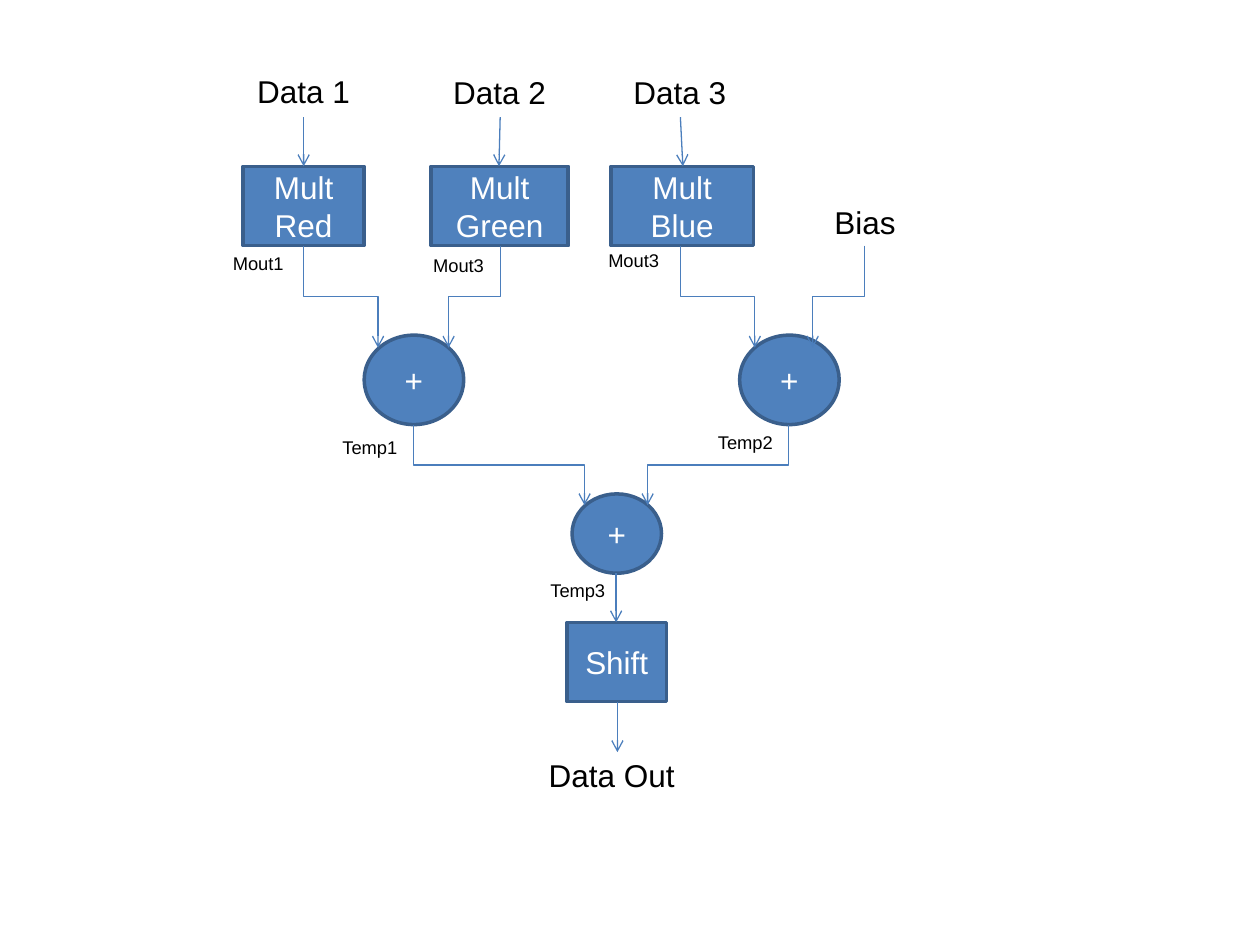
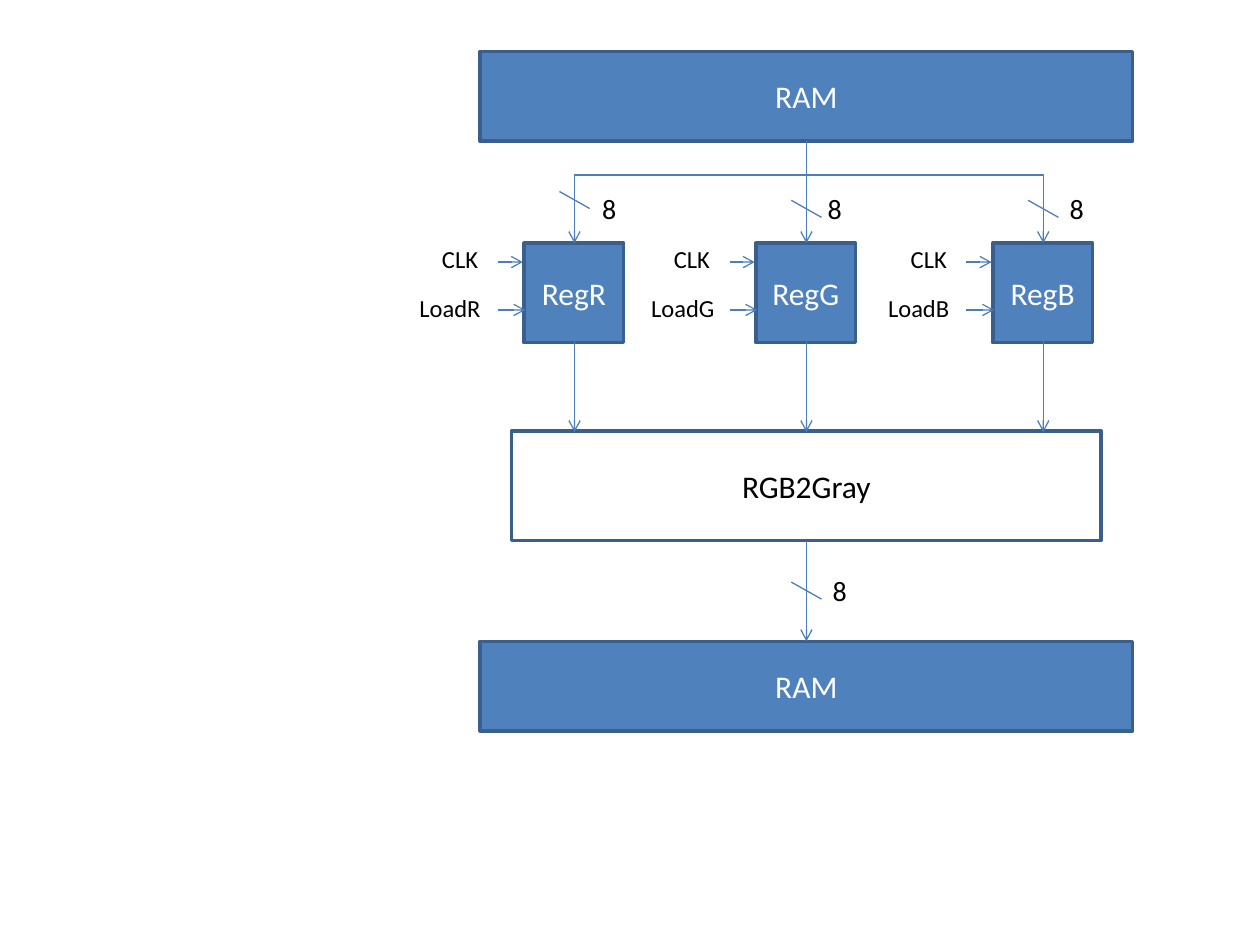
from pptx import Presentation
from pptx.dml.color import RGBColor
from pptx.enum.shapes import MSO_CONNECTOR, MSO_SHAPE
from pptx.enum.text import MSO_ANCHOR, PP_ALIGN
from pptx.oxml.ns import qn
from pptx.util import Inches, Pt
from lxml.etree import SubElement

COLORS = {"fill": "4F81BD", "edge": "3A5F8C", "wire": "4B7EBC", "light": "FFFFFF", "dark": "000000"}
RECT, OVAL = MSO_SHAPE.RECTANGLE, MSO_SHAPE.OVAL

prs = Presentation()
prs.slide_width, prs.slide_height = Inches(10), Inches(7.5)
CELL = prs.slide_width // 100


def add_box(s, text, x, y, w, h, kind=None, fill=None, color="dark", size=18, font="Arial", center=True):
    at = [round(v * CELL) for v in (x, y, w, h)]
    if kind is None:
        sp = s.shapes.add_textbox(*at)
    else:
        sp = s.shapes.add_shape(kind, *at)
        sp.shadow.inherit = False
        sp.line.color.rgb = RGBColor.from_string(COLORS["edge"])
        sp.line.width = Pt(2)
        if fill:
            sp.fill.solid()
            sp.fill.fore_color.rgb = RGBColor.from_string(COLORS[fill])
        else:
            sp.fill.background()
    tf = sp.text_frame
    frame = {"word_wrap": True, "margin_left": 0 if center else CELL, "margin_right": 0,
             "vertical_anchor": MSO_ANCHOR.MIDDLE if kind else MSO_ANCHOR.TOP}
    for key, value in frame.items():
        setattr(tf, key, value)
    for i, line in enumerate(text.split("\n")):
        p = tf.add_paragraph() if i else tf.paragraphs[0]
        p.alignment = PP_ALIGN.CENTER if center else PP_ALIGN.LEFT
        r = p.add_run()
        r.text = line
        for key, value in {"name": font, "size": Pt(size)}.items():
            setattr(r.font, key, value)
        r.font.color.rgb = RGBColor.from_string(COLORS[color])


def add_wire(s, x1, y1, x2, y2, route="straight", arrow=True):
    ends, kind = (x1, y1, x2, y2), MSO_CONNECTOR.STRAIGHT
    if route != "straight":
        kind = MSO_CONNECTOR.ELBOW
    if route == "step":
        mx, my, dx, dy = (x1 + x2) / 2, (y1 + y2) / 2, abs(x2 - x1) / 2, (y2 - y1) / 2
        side = -1 if x2 > x1 else 1
        ends = (mx - side * dy, my - dx, mx + side * dy, my + dx)
    c = s.shapes.add_connector(kind, *[round(v * CELL) for v in ends])
    c.line.color.rgb = RGBColor.from_string(COLORS["wire"])
    c.line.width = Pt(0.75)
    spPr = c._element.spPr
    if route == "step":
        spPr.find(qn("a:xfrm")).set("rot", str((270 if x2 > x1 else 90) * 60000))
    if route == "corner":
        spPr.find(qn("a:prstGeom")).set("prst", "bentConnector2")
    if arrow:
        SubElement(spPr.find(qn("a:ln")), qn("a:tailEnd"), type="arrow")
    SubElement(spPr, qn("a:effectLst"))


s = prs.slides.add_slide(prs.slide_layouts[6])
node = {"fill": "fill", "color": "light"}

for name, x, w in [("Red", 19.3, 9.6), ("Green", 34.2, 10.9), ("Blue", 48.5, 11.3)]:
    add_box(s, f"Mult\n{name}", x, 13.2, w, 6.3, RECT, **node)
for x, y, w, h in [(28.9, 26.6, 7.9, 7.1), (58.7, 26.6, 7.9, 7.1), (45.4, 39.2, 7.1, 6.3)]:
    add_box(s, "+", x, y, w, h, OVAL, **node)
add_box(s, "Shift", 45, 49.4, 7.9, 6.3, RECT, **node)

for text, x, y, w in [("Data 1", 17.8, 5.2, 12.6), ("Data 2", 34.2, 5.3, 10.9), ("Data 3", 48.5, 5.3, 10.9),
                      ("Bias", 65.2, 15.6, 6.9), ("Data Out", 41.6, 59.5, 13.9)]:
    add_box(s, text, x, y, w, 4)
for text, x, y in [("Mout1", 17.5, 19.5), ("Mout3", 33.4, 19.7), ("Mout3", 47.3, 19.3),
                   ("Temp1", 26.2, 34.1), ("Temp2", 56, 33.7), ("Temp3", 42.7, 45.5)]:
    add_box(s, text, x, y, 6.6, 2.8, size=10.5, center=False)

for x1, x2 in [(24.1, 24.1), (39.7, 39.6), (54, 54.2)]:
    add_wire(s, x1, 9.3, x2, 13.2)
for x1, x2 in [(24.1, 30), (39.7, 35.6), (54, 59.9), (68.6, 64.5)]:
    add_wire(s, x1, 19.5, x2, 27.6, "step")
for x1, x2 in [(32.8, 46.4), (62.6, 51.4)]:
    add_wire(s, x1, 33.7, x2, 40.1, "step")
add_wire(s, 48.9, 45.5, 48.9, 49.4)
add_wire(s, 49, 55.7, 49, 59.7)

s = prs.slides.add_slide(prs.slide_layouts[6])
mid = 64
node["font"] = "Calibri"

for y in (4.1, 50.9):
    add_box(s, "RAM", 38.1, y, 51.8, 7.1, RECT, **node)
add_box(s, "RGB2Gray", 40.6, 34.2, 46.8, 8.7, RECT, font="Calibri")

for letter, x, slash_y, bits_x in [("R", 45.6, 15.2, 46.8), ("G", mid, 15.9, 64.7), ("B", 82.8, 15.9, 83.9)]:
    add_box(s, f"Reg{letter}", x - 4, 19.3, 7.9, 7.9, RECT, **node)
    for text, dx, y, w in [("CLK", 11.5, 18.9, 5.6), (f"Load{letter}", 13.3, 22.8, 7.4)]:
        add_box(s, text, x - dx, y, w, 3.4, size=14, font="Calibri", center=False)
    for y, tip in [(20.8, 4.1), (24.6, 3.9)]:
        add_wire(s, x - 6.1, y, x - tip, y)
    if x == mid:
        add_wire(s, mid, 11.2, mid, 19.3)
    else:
        add_wire(s, mid, 13.9, x, 19.3, "corner")
    add_wire(s, x, 27.1, x, 34.3)
    add_wire(s, x - 1.2, slash_y, x + 1.2, slash_y + 1.35, arrow=False)
    add_box(s, "8", bits_x, 14.7, 2.2, 3.7, size=16, font="Calibri", center=False)

add_wire(s, mid, 42.9, mid, 50.9)
add_wire(s, mid - 1.2, 46.2, mid + 1.2, 47.55, arrow=False)
add_box(s, "8", 65.1, 45, 2.2, 3.7, size=16, font="Calibri", center=False)

prs.save("out.pptx")
